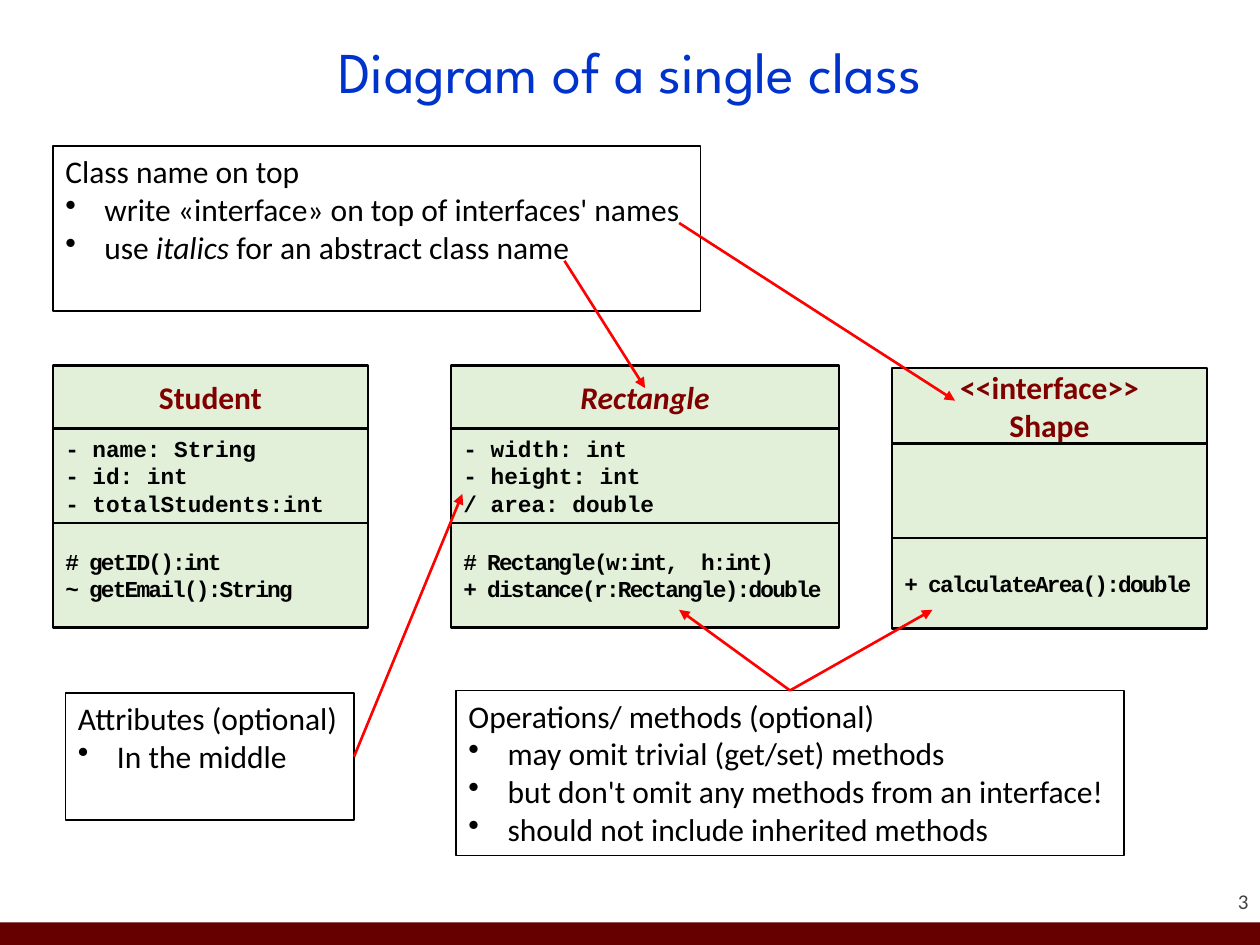
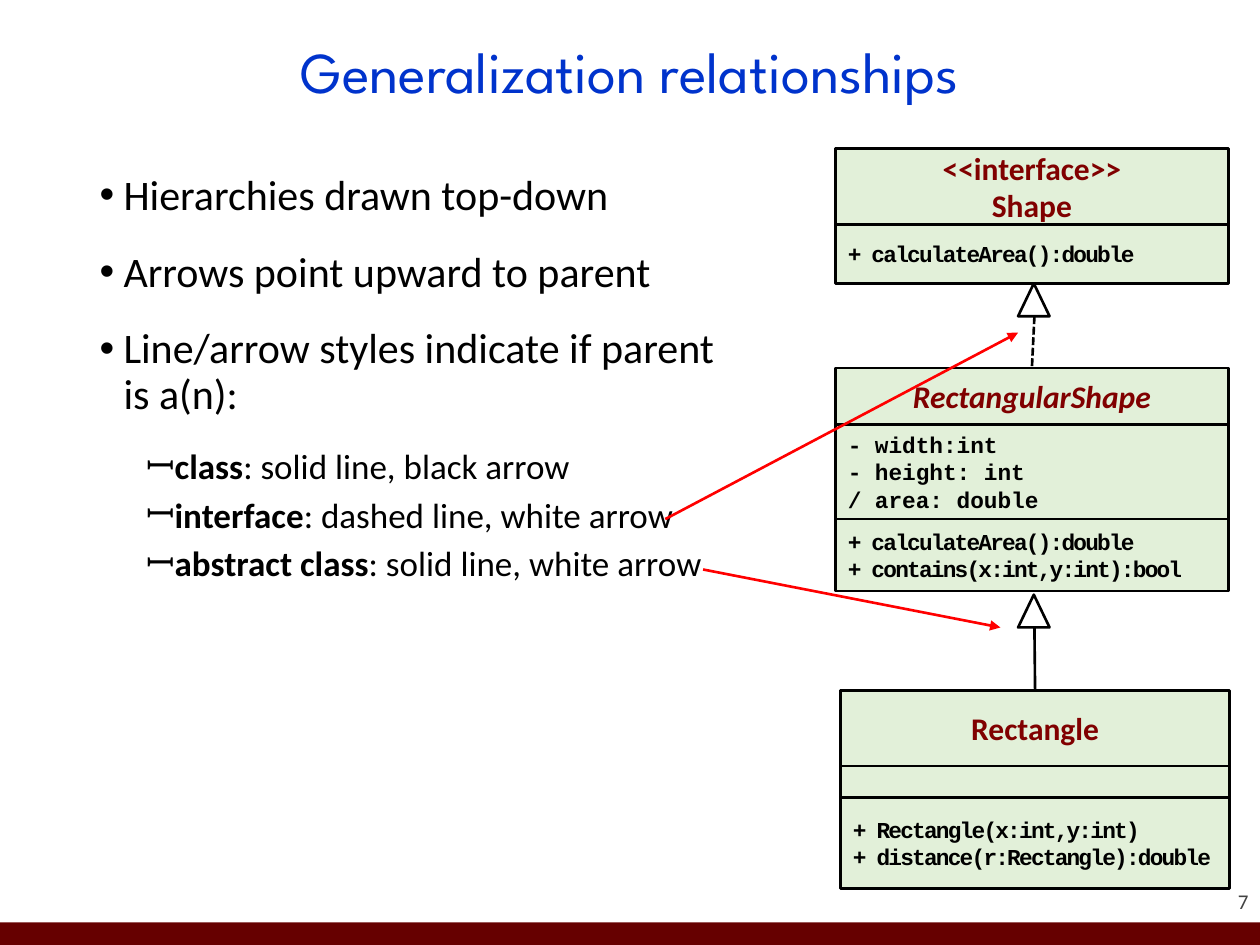
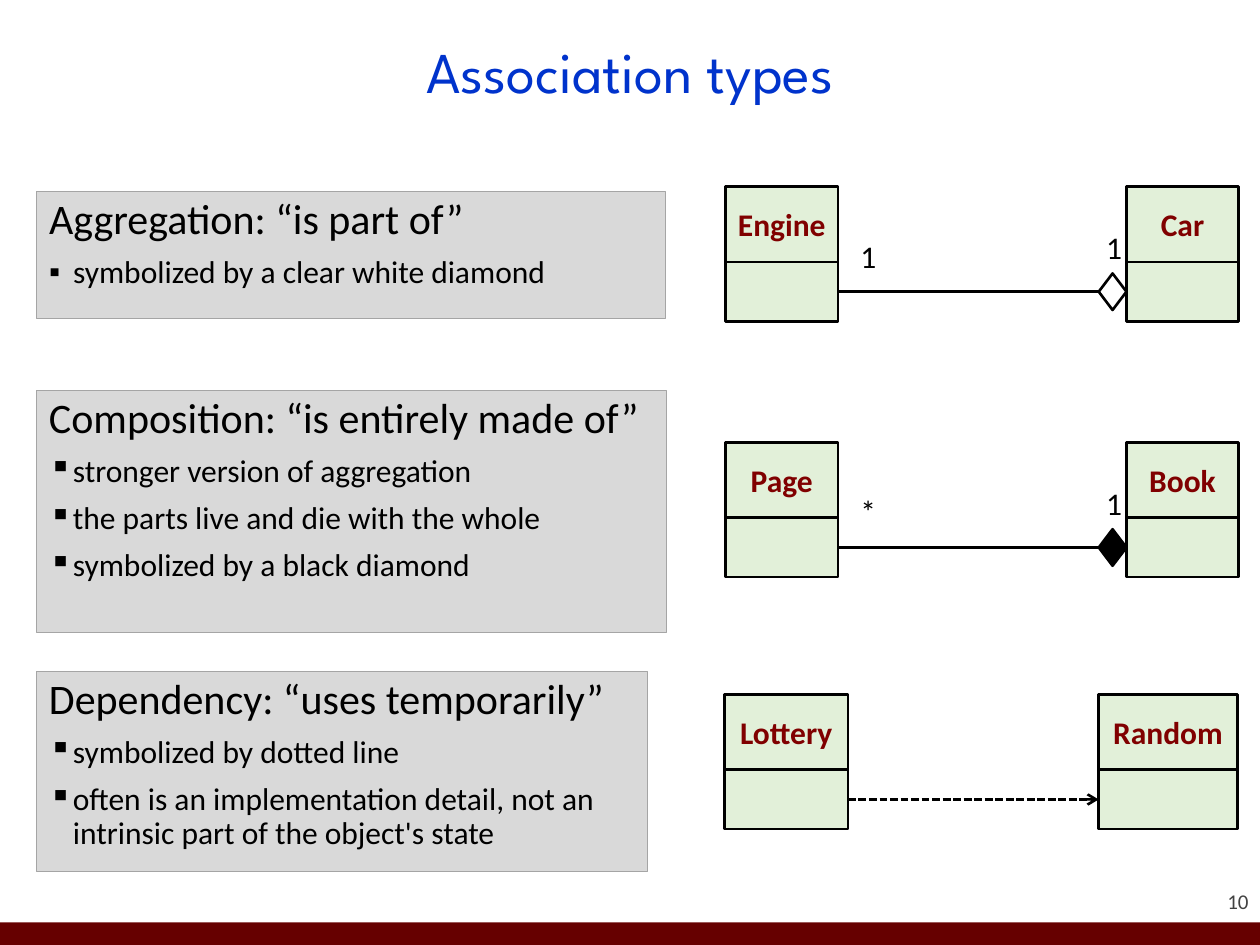
import dataclasses

import lxml.etree
import pptx
import pptx.dml.color
import pptx.enum.dml
import pptx.enum.shapes
import pptx.enum.text
import pptx.oxml.ns
import pptx.util

Inches = pptx.util.Inches
Pt = pptx.util.Pt
Shape = pptx.enum.shapes.MSO_SHAPE
Align = pptx.enum.text.PP_ALIGN
Anchor = pptx.enum.text.MSO_ANCHOR
DASHED = pptx.enum.dml.MSO_LINE.SQUARE_DOT
TOP, LEFT, BOTTOM, RIGHT = range(4)


@dataclasses.dataclass(frozen=True)
class Theme:
    title_face: str = "League Spartan"
    body_face: str = "Calibri"
    code_face: str = "Courier New"
    title_color: str = "0033CC"
    name_color: str = "800000"
    number_color: str = "424242"
    band: str = "660000"
    class_fill: str = "E2F0D9"
    panel_fill: str = "D9D9D9"
    panel_line: str = "A5A5A5"
    pointer: str = "FF0000"
    black: str = "000000"
    white: str = "FFFFFF"
    title_size: float = 33
    heading_size: float = 24
    sub_size: float = 20
    text_size: float = 18
    code_size: float = 13
    number_size: float = 12
    stroke: float = 1.5


def rgb(value):
    return pptx.dml.color.RGBColor.from_string(value)


def add_child(parent, tag, **attributes):
    child = lxml.etree.SubElement(parent, pptx.oxml.ns.qn(tag))
    for key, value in attributes.items():
        child.set(key, value)
    return child


def add_para(frame, text, size=18, face="Calibri", color="000000", bold=False, italic=False,
             align=Align.LEFT, bullet=None, margin=0, hang=0, level=0, line_spacing=1,
             before=0, after=0, tracking=0):
    first = not frame.text
    para = frame.paragraphs[0] if first else frame.add_paragraph()
    properties = para._p.get_or_add_pPr()
    properties.set("marL", str(Inches(margin)))
    properties.set("indent", str(-Inches(hang)))
    if bullet:
        add_child(properties, "a:buChar", char=bullet)
    else:
        add_child(properties, "a:buNone")
    para.level = level
    para.alignment = align
    para.line_spacing = line_spacing
    para.space_before = Pt(0 if first else before)
    para.space_after = Pt(after)
    spans = [(text, {})] if isinstance(text, str) else text
    for words, change in spans:
        span = para.add_run()
        span.text = words
        span.font.size = Pt(size)
        span.font.name = face
        span.font.color.rgb = rgb(color)
        span.font.bold = change.get("bold", bold)
        span.font.italic = change.get("italic", italic)
        if tracking:
            span._r.get_or_add_rPr().set("spc", str(int(tracking * 100)))


class Deck:
    def __init__(self, theme):
        self.theme = theme
        self.deck = pptx.Presentation()
        self.deck.slide_width = Inches(10)
        self.deck.slide_height = Inches(7.5)
        self.page = None

    def add_page(self, title, number, layout):
        theme = self.theme
        self.page = self.deck.slides.add_slide(self.deck.slide_layouts[layout])
        self.shape(Shape.RECTANGLE, 0, 7.32, 10, 0.18, fill=theme.band)
        label = self.label(9.08, 6.85, 0.83, 0.4)
        self.frame(label, Anchor.BOTTOM, 0, 0)
        add_para(label.text_frame, number, size=theme.number_size, color=theme.number_color,
                 align=Align.RIGHT)
        heading = self.page.shapes.title
        self.place(heading, 0.69, 0.12, 8.62, 0.94)
        self.frame(heading, Anchor.MIDDLE)
        add_para(heading.text_frame, title, size=theme.title_size, face=theme.title_face,
                 color=theme.title_color, align=Align.CENTER, line_spacing=0.9)

    def place(self, box, left, top, width, height):
        box.left, box.top = Inches(left), Inches(top)
        box.width, box.height = Inches(width), Inches(height)

    def frame(self, box, anchor=Anchor.TOP, side=0.1, edge=0.05):
        frame = box.text_frame
        frame.word_wrap = True
        frame.auto_size = pptx.enum.text.MSO_AUTO_SIZE.NONE
        frame.vertical_anchor = anchor
        frame.margin_left = frame.margin_right = Inches(side)
        frame.margin_top = frame.margin_bottom = Inches(edge)

    def paint(self, box, fill=None, line=None, weight=1.5):
        if fill:
            box.fill.solid()
            box.fill.fore_color.rgb = rgb(fill)
        else:
            box.fill.background()
        if line:
            box.line.color.rgb = rgb(line)
            box.line.width = Pt(weight)
        else:
            box.line.fill.background()

    def shape(self, kind, left, top, width, height, fill=None, line=None, weight=1.5):
        box = self.page.shapes.add_shape(kind, Inches(left), Inches(top), Inches(width), Inches(height))
        box.shadow.inherit = False
        self.paint(box, fill, line, weight)
        return box

    def label(self, left, top, width, height, text=None):
        box = self.page.shapes.add_textbox(Inches(left), Inches(top), Inches(width), Inches(height))
        self.frame(box)
        if text:
            add_para(box.text_frame, text, size=self.theme.text_size)
        return box

    def body(self, left, top, width, height):
        box = self.page.placeholders[1]
        self.place(box, left, top, width, height)
        self.frame(box)
        return box

    def note(self, left, top, width, height, heading, points):
        theme = self.theme
        box = self.shape(Shape.RECTANGLE, left, top, width, height, theme.white, theme.black, 1)
        self.frame(box)
        add_para(box.text_frame, heading, size=theme.text_size)
        for point in points:
            add_para(box.text_frame, point, size=theme.text_size, bullet="•", margin=0.31, hang=0.31)
        return box

    def panel(self, box, heading, points):
        theme = self.theme
        self.paint(box, theme.panel_fill, theme.panel_line, 0.5)
        self.frame(box)
        add_para(box.text_frame, heading, size=theme.heading_size, line_spacing=0.9)
        for point in points:
            add_para(box.text_frame, point, size=theme.text_size, bullet="▪", margin=0.19, hang=0.19,
                     line_spacing=0.9, before=7.5)

    def class_box(self, left, top, width, name, name_height, sections, italic=False):
        theme = self.theme
        boxes = []
        for height, lines, tracking in [(name_height, name, None), *sections]:
            box = self.shape(Shape.FLOWCHART_PROCESS, left, top, width, height,
                             theme.class_fill, theme.black, theme.stroke)
            is_name = not boxes
            self.frame(box, Anchor.MIDDLE, 0 if is_name else 0.1)
            for line in lines:
                if is_name:
                    add_para(box.text_frame, line, size=theme.text_size, color=theme.name_color,
                             bold=True, italic=italic, align=Align.CENTER)
                else:
                    add_para(box.text_frame, line, size=theme.code_size, face=theme.code_face,
                             bold=True, tracking=tracking)
            boxes.append(box)
            top += height
        return boxes

    def line(self, start, end, color, head=None, dash=None, begin=None, finish=None):
        link = self.page.shapes.add_connector(
            pptx.enum.shapes.MSO_CONNECTOR.STRAIGHT, *map(Inches, (*start, *end)))
        if begin:
            link.begin_connect(*begin)
        if finish:
            link.end_connect(*finish)
        link.line.color.rgb = rgb(color)
        link.line.width = Pt(self.theme.stroke)
        if dash:
            link.line.dash_style = dash
        if head:
            add_child(link.line._get_or_add_ln(), "a:tailEnd", type=head)
        add_child(link._element.spPr, "a:effectLst")

    def pointer(self, start, end, begin=None):
        self.line(start, end, self.theme.pointer, head="triangle", begin=begin)


def single_class_page(deck):
    deck.add_page("Diagram of a single class", "3", layout=5)
    deck.class_box(3.58, 2.9, 3.08, ["Rectangle"], 0.5, [
        (0.75, ["- width: int", "- height: int", "/ area: double"], 0),
        (0.83, ["# Rectangle(w:int,  h:int)", "+ distance(r:Rectangle):double"], -1),
    ], italic=True)
    deck.class_box(0.42, 2.9, 2.5, ["Student"], 0.5, [
        (0.75, ["- name: String", "- id: int", "- totalStudents:int"], 0),
        (0.83, ["# getID():int", "~ getEmail():String"], -1),
    ])
    deck.class_box(7.08, 2.92, 2.5, ["<<interface>>", "Shape"], 0.6, [
        (0.75, [], 0),
        (0.72, ["+ calculateArea():double"], -1),
    ])
    deck.note(0.42, 1.16, 5.14, 1.31, "Class name on top", [
        "write «interface» on top of interfaces' names",
        [("use ", {}), ("italics ", {"italic": True}), ("for an abstract class name", {})],
    ])
    deck.pointer((4.48, 2.07), (5.12, 3.08))
    deck.pointer((5.39, 1.77), (7.58, 3.18))
    attributes = deck.note(0.52, 5.5, 2.29, 1.01, "Attributes (optional)", ["In the middle"])
    deck.pointer((2.81, 6), (3.67, 3.92), begin=(attributes, RIGHT))
    operations = deck.note(3.62, 5.48, 5.3, 1.31, "Operations/ methods (optional)", [
        "may omit trivial (get/set) methods",
        "but don't omit any methods from an interface!",
        "should not include inherited methods",
    ])
    for target in [(5.39, 4.84), (7.4, 4.84)]:
        deck.pointer((6.27, 5.48), target, begin=(operations, TOP))


def generalization_page(deck):
    theme = deck.theme
    deck.add_page("Generalization relationships", "7", layout=1)
    frame = deck.body(0.69, 1.33, 5.31, 5.42).text_frame
    for text in ["Hierarchies drawn top-down", "Arrows point upward to parent",
                 "Line/arrow styles indicate if parent is a(n):"]:
        add_para(frame, text, size=theme.heading_size, bullet="•", margin=0.19, hang=0.19,
                 line_spacing=0.9, before=6, after=12)
    for parent, style in [("class", "solid line, black arrow"),
                          ("interface", "dashed line, white arrow"),
                          ("abstract class", "solid line, white arrow")]:
        add_para(frame, [(parent, {"bold": True}), (f": {style}", {})], size=theme.sub_size,
                 bullet="ꟷ", margin=0.56, hang=0.19, level=1, line_spacing=0.9, before=6)
    deck.class_box(6.63, 1.18, 3.12, ["<<interface>>", "Shape"], 0.6, [
        (0.47, ["+ calculateArea():double"], -1),
    ])
    abstract = deck.class_box(6.63, 2.92, 3.12, ["RectangularShape"], 0.45, [
        (0.75, ["- width:int", "- height: int", "/ area: double"], 0),
        (0.57, ["+ calculateArea():double", "+ contains(x:int,y:int):bool"], -1),
    ], italic=True)
    concrete = deck.class_box(6.67, 5.48, 3.09, ["Rectangle"], 0.6, [
        (0.25, [], 0),
        (0.72, ["+ Rectangle(x:int,y:int)", "+ distance(r:Rectangle):double"], -1),
    ])
    for top, child, dash in [(2.25, abstract, DASHED), (4.72, concrete, None)]:
        deck.shape(Shape.ISOSCELES_TRIANGLE, 8.08, top, 0.25, 0.26, line=theme.black)
        deck.line((8.21, top + 0.26), (8.21, top + 0.7), theme.black, dash=dash,
                  finish=(child[0], TOP))
    deck.pointer((5.58, 4.52), (7.94, 4.98))
    deck.pointer((5.28, 4.12), (8.08, 2.64))


def association(deck, top, part, whole, part_left=5.76, part_width=0.89, whole_left=8.94,
                whole_width=0.89, count=None, diamond_fill=None):
    theme = deck.theme
    whole_box = deck.class_box(whole_left, top, whole_width, [whole], 0.6, [(0.47, [], 0)])[1]
    part_box = deck.class_box(part_left, top, part_width, [part], 0.6, [(0.47, [], 0)])[1]
    start, end = (part_left + part_width, top + 0.83), (8.72, top + 0.83)
    if count is None:
        deck.line(start, end, theme.black, head="arrow", dash=DASHED,
                  begin=(part_box, RIGHT), finish=(whole_box, LEFT))
        return
    diamond = deck.shape(Shape.DIAMOND, 8.72, top + 0.69, 0.22, 0.29, diamond_fill, theme.black)
    deck.line(start, end, theme.black, begin=(part_box, RIGHT), finish=(diamond, LEFT))
    deck.label(6.73, top + 0.35, 0.53, 0.4, count)
    deck.label(8.68, top + 0.28, 0.29, 0.4, "1")


def association_page(deck):
    deck.add_page("Association types", "10", layout=1)
    deck.panel(deck.body(0.29, 1.52, 4.99, 1.01), "Aggregation: “is part of”",
               ["symbolized by a clear white diamond"])
    deck.panel(deck.label(0.29, 3.1, 5, 1.92), "Composition: “is entirely made of”", [
        "stronger version of aggregation",
        "the parts live and die with the whole",
        "symbolized by a black diamond",
    ])
    deck.panel(deck.label(0.29, 5.33, 4.85, 1.59), "Dependency: “uses temporarily”", [
        "symbolized by dotted line",
        "often is an implementation detail, not an intrinsic part of the object's state",
    ])
    association(deck, 1.48, "Engine", "Car", count="1")
    association(deck, 3.51, "Page", "Book", count="*", diamond_fill=deck.theme.black)
    association(deck, 5.51, "Lottery", "Random", part_left=5.75, part_width=0.98,
                whole_left=8.72, whole_width=1.1)


def main():
    deck = Deck(Theme())
    single_class_page(deck)
    generalization_page(deck)
    association_page(deck)
    deck.deck.save("out.pptx")


if __name__ == "__main__":
    main()
